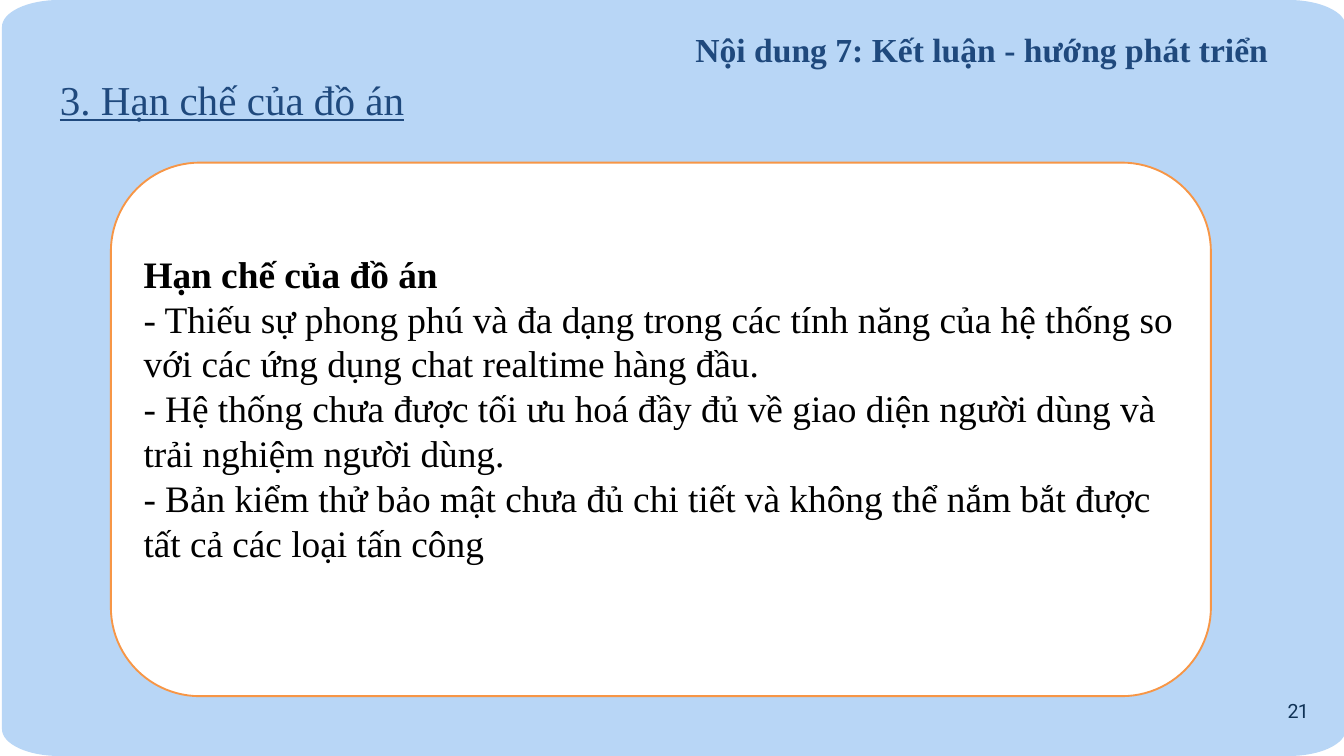
import math

import pptx
import pptx.dml.color
import pptx.enum.shapes
import pptx.enum.text
import pptx.util

Inches = pptx.util.Inches
Pt = pptx.util.Pt
ALIGN = pptx.enum.text.PP_ALIGN
ANCHOR = pptx.enum.text.MSO_ANCHOR

COLORS = {
    "panel": "B8D6F6",
    "heading": "1F497D",
    "number": "0F3256",
    "card": "FFFFFF",
    "border": "F79646",
    "body": "000000",
}
SERIF = "Times New Roman"
SLIDE_WIDTH, SLIDE_HEIGHT = 20, 11.25

LIMITATIONS = [
    "- Thiếu sự phong phú và đa dạng trong các tính năng của hệ thống so với các ứng dụng chat realtime hàng đầu.",
    "- Hệ thống chưa được tối ưu hoá đầy đủ về giao diện người dùng và trải nghiệm người dùng.",
    "- Bản kiểm thử bảo mật chưa đủ chi tiết và không thể nắm bắt được tất cả các loại tấn công",
]


def rgb(name):
    return pptx.dml.color.RGBColor.from_string(COLORS[name])


def write(paragraph, text, size, color, font=SERIF, bold=False, underline=False,
          align=ALIGN.LEFT, line_spacing=None, tracking=None):
    """Add one formatted run; tracking is in hundredths of a point."""
    paragraph.alignment = align
    if line_spacing:
        paragraph.line_spacing = Pt(line_spacing)
    run = paragraph.add_run()
    run.text = text
    run.font.name = font
    run.font.size = Pt(size)
    run.font.bold = bold
    run.font.underline = underline
    run.font.color.rgb = rgb(color)
    if tracking:
        run.font._element.set("spc", str(tracking))


class SlideBuilder:
    def __init__(self, presentation):
        self.slide = presentation.slides.add_slide(presentation.slide_layouts[5])

    def background_panel(self, left, width, height, radius_x, radius_y, steps=16):
        """Draw a panel with elliptical corners behind everything else."""
        corners = [
            (left + width - radius_x, height - radius_y),
            (left + radius_x, height - radius_y),
            (left + radius_x, radius_y),
            (left + width - radius_x, radius_y),
        ]
        points = []
        for quarter, (center_x, center_y) in enumerate(corners):
            for step in range(steps + 1):
                angle = (quarter + step / steps) * math.pi / 2
                points.append((Inches(center_x + radius_x * math.cos(angle)),
                               Inches(center_y + radius_y * math.sin(angle))))
        builder = self.slide.shapes.build_freeform(*points[0])
        builder.add_line_segments(points[1:], close=True)
        panel = builder.convert_to_shape()
        panel.shadow.inherit = False
        panel.fill.solid()
        panel.fill.fore_color.rgb = rgb("panel")
        panel.line.fill.background()
        self.slide.shapes.element.insert(2, panel.element)

    def title(self, left, top, width, height, text, **text_format):
        title = self.slide.shapes.title
        title.left, title.top = Inches(left), Inches(top)
        title.width, title.height = Inches(width), Inches(height)
        frame = title.text_frame
        frame.auto_size = pptx.enum.text.MSO_AUTO_SIZE.NONE
        frame.vertical_anchor = ANCHOR.TOP
        write(frame.paragraphs[0], text, **text_format)

    def text_box(self, left, top, width, height, text, inset=None, **text_format):
        box = self.slide.shapes.add_textbox(
            Inches(left), Inches(top), Inches(width), Inches(height))
        frame = box.text_frame
        frame.word_wrap = True
        if inset is not None:
            frame.margin_left = frame.margin_right = Inches(inset)
            frame.margin_top = frame.margin_bottom = Inches(inset)
        write(frame.paragraphs[0], text, **text_format)

    def card(self, left, top, width, height, heading, items, size):
        card = self.slide.shapes.add_shape(
            pptx.enum.shapes.MSO_SHAPE.ROUNDED_RECTANGLE,
            Inches(left), Inches(top), Inches(width), Inches(height))
        card.shadow.inherit = False
        card.fill.solid()
        card.fill.fore_color.rgb = rgb("card")
        card.line.color.rgb = rgb("border")
        card.line.width = Pt(2)
        frame = card.text_frame
        frame.word_wrap = True
        frame.vertical_anchor = ANCHOR.MIDDLE
        frame.margin_bottom = Inches(0.69)
        write(frame.paragraphs[0], heading, size=size, color="body", bold=True)
        for item in items:
            write(frame.add_paragraph(), item, size=size, color="body")


def main():
    presentation = pptx.Presentation()
    presentation.slide_width = Inches(SLIDE_WIDTH)
    presentation.slide_height = Inches(SLIDE_HEIGHT)

    builder = SlideBuilder(presentation)
    builder.background_panel(0.03, SLIDE_WIDTH, SLIDE_HEIGHT, radius_x=0.85, radius_y=0.4)
    builder.text_box(10.25, 0.38, 8.75, 0.71, "Nội dung 7: Kết luận - hướng phát triển",
                     size=36, color="heading", bold=True)
    builder.title(0.79, 1.06, 7.01, 0.84, "3. Hạn chế của đồ án",
                  size=44, color="heading", underline=True)
    builder.text_box(19.02, 10.37, 0.6, 0.36, "21", inset=0, size=21, color="number",
                     font="Roboto", align=ALIGN.CENTER, line_spacing=27.3, tracking=-60)
    builder.card(1.65, 2.42, 16.37, 7.94, "Hạn chế của đồ án", LIMITATIONS, size=40)

    presentation.save("out.pptx")


if __name__ == "__main__":
    main()
